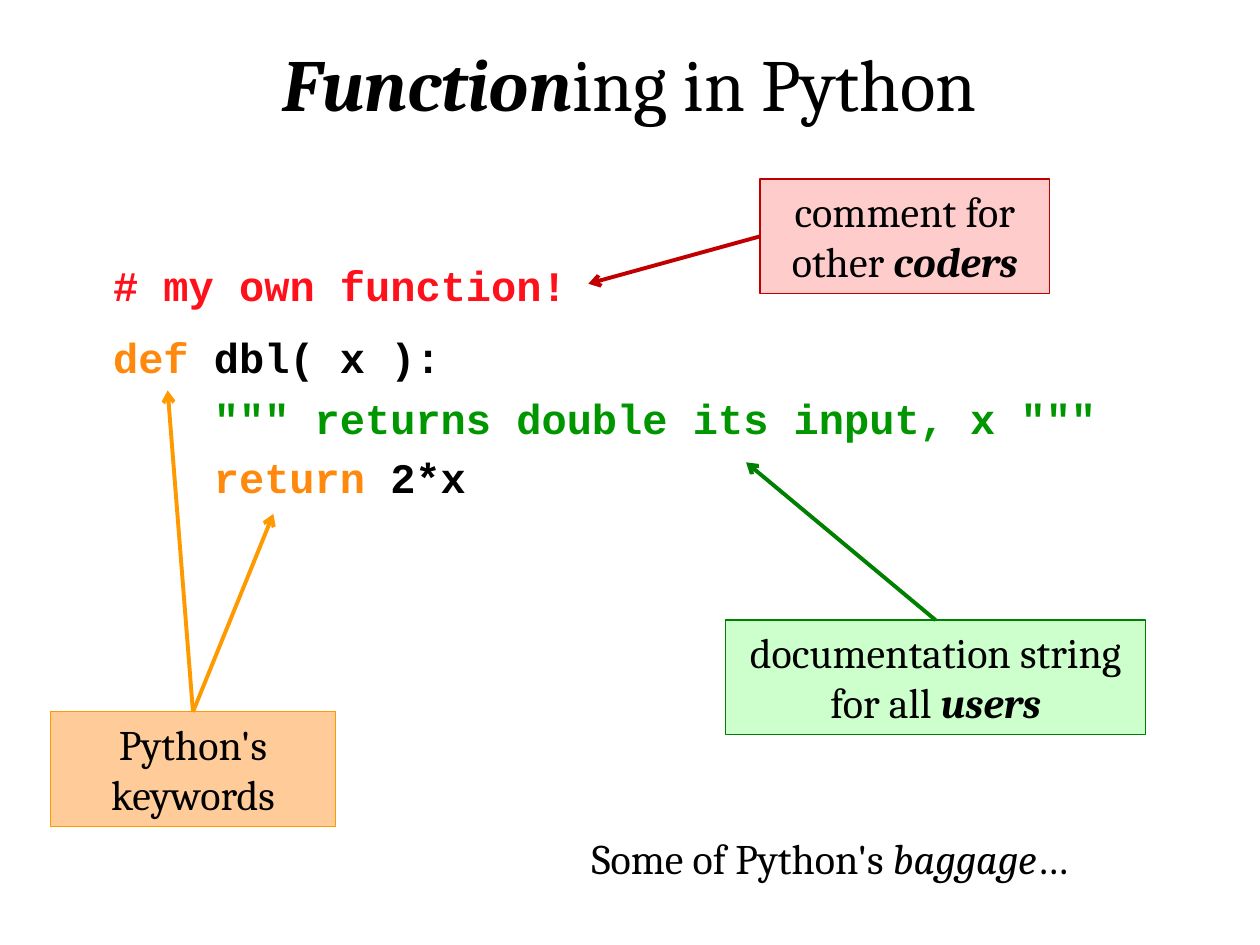
"""Build the slide on the parts of a Python function."""
from dataclasses import dataclass

from lxml import etree
from pptx import Presentation
from pptx import util as u
from pptx.dml.color import RGBColor
from pptx.enum import shapes, text
from pptx.oxml.ns import qn


@dataclass(frozen=True)
class Theme:
    body_font: str = "Cambria"
    code_font: str = "Courier New"
    title_size: float = 42
    body_size: float = 24
    black: str = "000000"
    keyword: str = "FF890C"
    comment: str = "FF111C"
    docstring: str = "009600"
    red: tuple = ("FFCCCC", "C00000")
    green: tuple = ("CCFFCC", "008000")
    orange: tuple = ("FFCC99", "FF9900")
    border_width: float = 0.75
    arrow_width: float = 2.25
    code_gap: float = 13.5
    tight: float = 0.7


class SlideBuilder:
    def __init__(self, slide, theme):
        self.slide = slide
        self.theme = theme

    def add_runs(self, paragraph, parts, size, font, bold=False):
        for content, style in parts:
            run = paragraph.add_run()
            run.text = content
            run.font.name = font
            run.font.size = u.Pt(size)
            run.font.bold = bold or "b" in style
            run.font.italic = "i" in style
            run.font.color.rgb = RGBColor.from_string(self.theme.black)

    def text_box(self, left, top, width, height):
        box = self.slide.shapes.add_textbox(*map(u.Cm, (left, top, width, height)))
        box.text_frame.word_wrap = True
        return box.text_frame

    def heading(self, place, parts, size):
        paragraph = self.text_box(*place).paragraphs[0]
        paragraph.alignment = text.PP_ALIGN.CENTER
        self.add_runs(paragraph, parts, size, self.theme.body_font)

    def code(self, place, lines):
        frame = self.text_box(*place)
        for index, (spacing, parts) in enumerate(lines):
            paragraph = frame.add_paragraph() if index else frame.paragraphs[0]
            paragraph.line_spacing = spacing
            if index:
                paragraph.space_before = u.Pt(self.theme.code_gap)
            plain = [(content, "") for content, color in parts]
            self.add_runs(paragraph, plain, self.theme.body_size, self.theme.code_font, True)
            for run, (content, color) in zip(paragraph.runs, parts):
                run.font.color.rgb = RGBColor.from_string(color)

    def callout(self, place, parts, colors):
        fill, line = map(RGBColor.from_string, colors)
        shape = self.slide.shapes.add_shape(
            shapes.MSO_SHAPE.RECTANGLE, *map(u.Cm, place))
        shape.shadow.inherit = False
        shape.fill.solid()
        shape.fill.fore_color.rgb = fill
        shape.line.color.rgb = line
        shape.line.width = u.Pt(self.theme.border_width)
        frame = shape.text_frame
        frame.word_wrap = True
        frame.vertical_anchor = text.MSO_ANCHOR.TOP
        paragraph = frame.paragraphs[0]
        paragraph.alignment = text.PP_ALIGN.CENTER
        self.add_runs(paragraph, parts, self.theme.body_size, self.theme.body_font)
        return shape

    def arrow(self, shape, side, target, colors):
        x, y = map(u.Cm, target)
        connector = self.slide.shapes.add_connector(
            shapes.MSO_CONNECTOR.STRAIGHT, shape.left, shape.top, x, y)
        connector.begin_connect(shape, side)
        connector.line.color.rgb = RGBColor.from_string(colors[1])
        connector.line.width = u.Pt(self.theme.arrow_width)
        properties = connector._element.spPr
        etree.SubElement(properties.find(qn("a:ln")), qn("a:tailEnd"), type="arrow")
        etree.SubElement(properties, qn("a:effectLst"))


def main():
    theme = Theme()
    presentation = Presentation()
    presentation.slide_width, presentation.slide_height = u.Cm(25.4), u.Cm(19.05)
    slide = presentation.slides.add_slide(presentation.slide_layouts[6])
    builder = SlideBuilder(slide, theme)

    builder.heading((0.94, 0.64, 23.5, 2.03),
                    [("Function", "bi"), ("ing in Python", "")], theme.title_size)
    builder.heading((10.8, 16.66, 11.86, 1.27),
                    [("Some of Python's ", ""), ("baggage", "i"), ("…", "")],
                    theme.body_size)
    builder.code((2.03, 5.38, 21.03, 4.98), [
        (theme.tight, [("# my own function!", theme.comment)]),
        (1.0, [("def", theme.keyword), (" dbl( x ):", theme.black)]),
        (theme.tight, [("    ", theme.black),
                       ('""" returns double its input, x """', theme.docstring)]),
        (theme.tight, [("    ", theme.black), ("return", theme.keyword),
                       (" 2*x", theme.black)]),
    ])

    callouts = [
        ((15.32, 3.61, 5.84, 2.31), [("comment for other ", ""), ("coders", "bi")],
         theme.red, 1, [(11.86, 5.72)]),
        ((14.63, 12.5, 8.46, 2.31),
         [("documentation string for all ", ""), ("users", "bi")],
         theme.green, 0, [(15.04, 9.32)]),
        ((1.02, 14.35, 5.74, 2.31), [("Python's keywords", "")],
         theme.orange, 0, [(5.51, 10.36), (3.38, 7.87)]),
    ]
    for place, parts, colors, side, targets in callouts:
        shape = builder.callout(place, parts, colors)
        for target in targets:
            builder.arrow(shape, side, target, colors)

    presentation.save("out.pptx")


if __name__ == "__main__":
    main()
